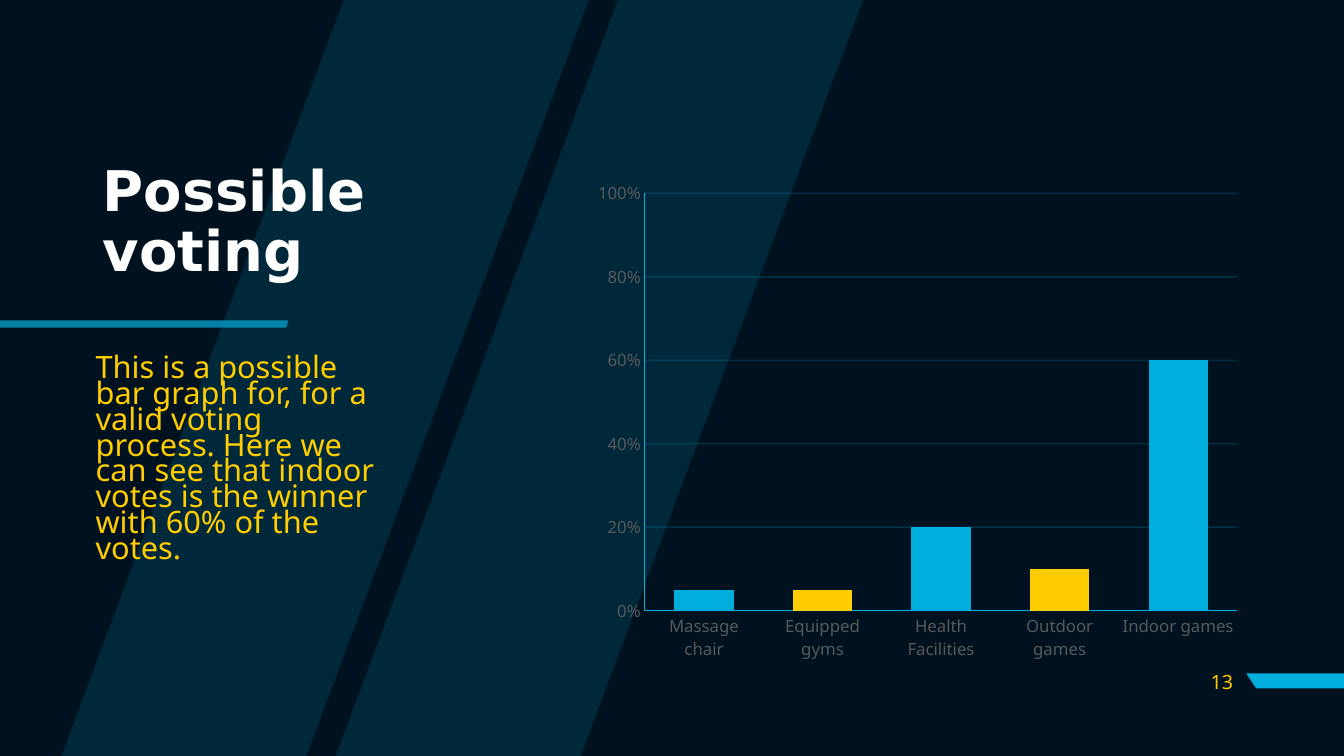
from lxml.etree import SubElement
from pptx import Presentation
from pptx.chart.data import CategoryChartData
from pptx.dml.color import RGBColor
from pptx.enum.chart import XL_CHART_TYPE, XL_TICK_MARK
from pptx.enum.text import MSO_ANCHOR, MSO_AUTO_SIZE, PP_ALIGN
from pptx.oxml import parse_xml
from pptx.oxml.ns import nsdecls, qn
from pptx.util import Inches, Pt

NAVY = RGBColor(0x00, 0x11, 0x1F)
BLUE = RGBColor(0x00, 0xAE, 0xDE)
YELLOW = RGBColor(0xFF, 0xCD, 0x00)
WHITE = RGBColor(0xFF, 0xFF, 0xFF)
GRAY = RGBColor(0x59, 0x59, 0x59)
BODY_FONT = "Noto Sans"


def add_polygon(slide, points, opacity):
    corners = [(Inches(x), Inches(y)) for x, y in points]
    builder = slide.shapes.build_freeform(*corners[0], scale=1.0)
    builder.add_line_segments(corners[1:], close=True)
    shape = builder.convert_to_shape()
    shape.shadow.inherit = False
    shape.fill.solid()
    shape.fill.fore_color.rgb = BLUE
    shape.line.fill.background()
    if opacity < 100:
        color = shape._element.spPr.find(qn("a:solidFill"))[0]
        SubElement(color, qn("a:alpha"), val=str(opacity * 1000))


def write_text(shape, text, font_name, size, color, anchor, spacing=1.0):
    frame = shape.text_frame
    frame.text = text
    frame.word_wrap = True
    frame.auto_size = MSO_AUTO_SIZE.NONE
    frame.vertical_anchor = anchor
    paragraph = frame.paragraphs[0]
    paragraph.alignment = PP_ALIGN.LEFT
    paragraph.line_spacing = spacing
    font = paragraph.runs[0].font
    font.name = font_name
    font.size = Pt(size)
    font.color.rgb = color
    return paragraph


presentation = Presentation()
presentation.slide_width = Inches(13.33)
presentation.slide_height = Inches(7.5)
slide = presentation.slides.add_slide(presentation.slide_layouts[5])
slide.background.fill.solid()
slide.background.fill.fore_color.rgb = NAVY

# Slanted background bands
for left in (0.61, 3.33):
    add_polygon(slide, [(left, 7.5), (left + 2.43, 7.5),
                        (left + 5.23, 0), (left + 2.8, 0)], 15)

# Accent bars beside the page number and under the title
add_polygon(slide, [(13.33, 6.68), (13.33, 6.83), (12.46, 6.83), (12.36, 6.68)], 100)
add_polygon(slide, [(0, 3.18), (0, 3.25), (2.84, 3.25), (2.86, 3.18)], 70)

# Title, brought in front of the bands
title = slide.shapes.title
slide.shapes._spTree.append(title._element)
title.left, title.top = Inches(0.92), Inches(1.38)
title.width, title.height = Inches(3.09), Inches(1.67)
paragraph = write_text(title, "Possible voting", "DejaVu Sans", 40, WHITE,
                       MSO_ANCHOR.MIDDLE, 0.9)
paragraph.runs[0].font.bold = True

# Description
description = slide.shapes.add_textbox(Inches(0.85), Inches(3.5), Inches(3.09), Inches(2.36))
write_text(description,
           "This is a possible bar graph for, for a valid voting process. "
           "Here we can see that indoor votes is the winner with 60% of the votes.",
           BODY_FONT, 22, YELLOW, MSO_ANCHOR.TOP, 0.7)

# Voting chart
chart_data = CategoryChartData(number_format="0%")
chart_data.categories = ["Massage chair", "Equipped gyms", "Health Facilities",
                         "Outdoor games", "Indoor games"]
chart_data.add_series("Series 1", [0.05, None, 0.2, None, 0.6])
chart_data.add_series("Series 2", [None, 0.05, None, 0.1, None])
chart = slide.shapes.add_chart(XL_CHART_TYPE.COLUMN_STACKED, Inches(5.5), Inches(1.79),
                               Inches(6.99), Inches(4.77), chart_data).chart
chart.has_legend = False
chart.has_title = False
chart.font.name = BODY_FONT
chart.font.size = Pt(10)

plot = chart.plots[0]
plot.gap_width = 100
plot.overlap = 100
plot.vary_by_categories = False
for series, color in zip(plot.series, (BLUE, YELLOW)):
    series.format.fill.solid()
    series.format.fill.fore_color.rgb = color

# Axes and faint gridlines
for axis in (chart.category_axis, chart.value_axis):
    axis.major_tick_mark = XL_TICK_MARK.NONE
    axis.minor_tick_mark = XL_TICK_MARK.NONE
    axis.format.line.color.rgb = BLUE
    axis.format.line.width = Pt(0.75)
    font = axis.tick_labels.font
    font.name = BODY_FONT
    font.size = Pt(12)
    font.color.rgb = GRAY
value_axis = chart.value_axis
value_axis.minimum_scale = 0
value_axis.maximum_scale = 1
value_axis.major_unit = 0.2
value_axis.tick_labels.number_format = "0%"
value_axis.tick_labels.number_format_is_linked = False
value_axis.has_major_gridlines = True
grid_line = value_axis.major_gridlines.format.line
grid_line.color.rgb = BLUE
grid_line.width = Pt(1)
for color in value_axis._element.find(qn("c:majorGridlines")).iter(qn("a:srgbClr")):
    SubElement(color, qn("a:alpha"), val="20000")

# Fixed plot area
plot_area = chart._chartSpace.chart.plotArea
for old_layout in plot_area.findall(qn("c:layout")):
    plot_area.remove(old_layout)
plot_area.insert(0, parse_xml(
    f'<c:layout {nsdecls("c")}><c:manualLayout><c:layoutTarget val="inner"/>'
    '<c:xMode val="edge"/><c:yMode val="edge"/><c:x val="0.128"/><c:y val="0.027"/>'
    '<c:w val="0.841"/><c:h val="0.868"/></c:manualLayout></c:layout>'))

# Page number
page_number = slide.shapes.add_textbox(Inches(11.73), Inches(6.56), Inches(0.6), Inches(0.4))
paragraph = write_text(page_number, "13", BODY_FONT, 14, YELLOW, MSO_ANCHOR.MIDDLE)
paragraph.alignment = PP_ALIGN.RIGHT

presentation.save("out.pptx")
